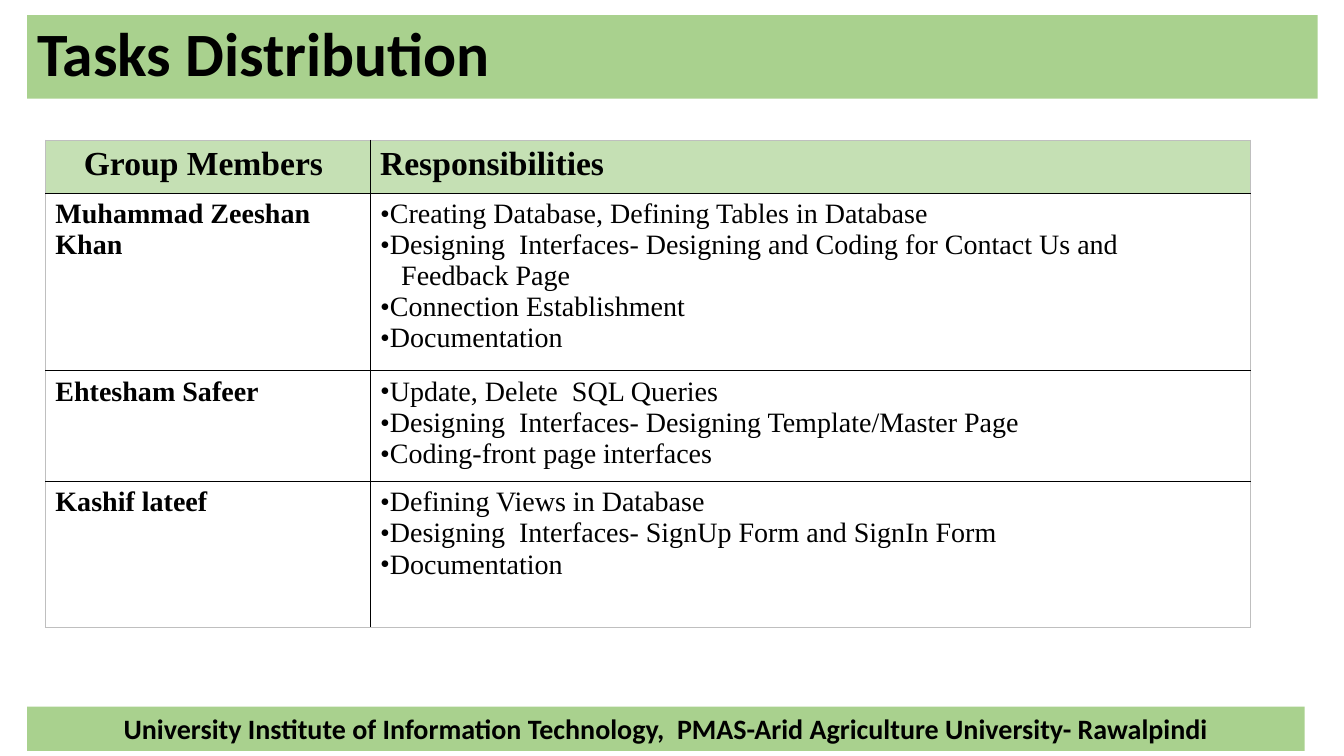
"""Build the task distribution slide with a table of members and duties."""
from lxml import etree
from pptx import Presentation
from pptx import util as u
from pptx.dml.color import RGBColor
from pptx.enum import shapes, text
from pptx.oxml import ns

BLACK, WHITE, GREEN, PALE, GREY = "000000", "FFFFFF", "A9D18E", "C5E0B4", "BFBFBF"
SERIF = "Times New Roman"
INDENTED = "Feedback Page"


def paint(color_format, color):
    """Apply a hex colour to a fill or a font."""
    if hasattr(color_format, "solid"):
        color_format.solid()
        color_format.fore_color.rgb = RGBColor.from_string(color)
    else:
        color_format.color.rgb = RGBColor.from_string(color)


def write(para, words, name, size, bold):
    """Put styled black words in a paragraph."""
    para.add_run().text = words
    para.font.name, para.font.size, para.font.bold = name, u.Pt(size), bold
    paint(para.font, BLACK)


deck = Presentation()
deck.slide_width, deck.slide_height = u.Inches(13.33), u.Inches(7.5)
page = deck.slides.add_slide(deck.slide_layouts[6])

bands = [
    ("Tasks Distribution", 0.15, 12.8, 0.83, 44, text.PP_ALIGN.LEFT, 0.9),
    ("University Institute of Information Technology,  PMAS-Arid Agriculture University- Rawalpindi",
     7.01, 12.67, 0.44, 20, text.PP_ALIGN.CENTER, 1.0),
]
for words, top, width, height, size, align, spacing in bands:
    band = page.shapes.add_shape(shapes.MSO_SHAPE.RECTANGLE, u.Inches(0.27), u.Inches(top),
                                 u.Inches(width), u.Inches(height))
    band.shadow.inherit = False
    paint(band.fill, GREEN)
    band.line.fill.background()
    band.text_frame.word_wrap = True
    band.text_frame.vertical_anchor = text.MSO_ANCHOR.MIDDLE
    para = band.text_frame.paragraphs[0]
    para.alignment, para.line_spacing = align, spacing
    write(para, words, "Calibri", size, True)

rows = [
    ("Group Members ", ["Responsibilities"]),
    ("Muhammad Zeeshan Khan", [
        "Creating Database, Defining Tables in Database",
        "Designing  Interfaces- Designing and Coding for Contact Us and",
        INDENTED,
        "Connection Establishment",
        "Documentation"]),
    ("Ehtesham Safeer", [
        "Update, Delete  SQL Queries",
        "Designing  Interfaces- Designing Template/Master Page",
        "Coding-front page interfaces"]),
    ("Kashif lateef", [
        "Defining Views in Database",
        "Designing  Interfaces- SignUp Form and SignIn Form",
        "Documentation"]),
]
widths, heights = [3.22, 8.73], [0.53, 1.76, 1.1, 1.44]
table = page.shapes.add_table(len(rows), 2, u.Inches(0.45), u.Inches(1.39),
                              u.Inches(sum(widths)), u.Inches(sum(heights))).table
table.first_row = table.horz_banding = False
for column, width in zip(table.columns, widths):
    column.width = u.Inches(width)

for row, (member, duties) in enumerate(rows):
    table.rows[row].height = u.Inches(heights[row])
    header = row == 0
    for col, lines in enumerate([[member], duties]):
        cell = table.cell(row, col)
        paint(cell.fill, PALE if header else WHITE)
        for index, words in enumerate(lines):
            para = cell.text_frame.paragraphs[0] if index == 0 else cell.text_frame.add_paragraph()
            para.alignment = text.PP_ALIGN.CENTER if header and col == 0 else text.PP_ALIGN.LEFT
            write(para, words, SERIF, 24 if header else 20, header or col == 0)
            if col == 1 and not header:
                props = para._p.get_or_add_pPr()
                props.set("marL", str(u.Inches(0.21 if words == INDENTED else 0)))
                props.set("indent", "0")
                if words != INDENTED:
                    props.insert(0, etree.Element(ns.qn("a:buFont"), typeface=SERIF))
                    props.insert(1, etree.Element(ns.qn("a:buChar"), char="•"))

        edges = {"L": col == 0, "R": col == 1, "T": header, "B": row == len(rows) - 1}
        for place, (side, outer) in enumerate(edges.items()):
            border = etree.Element(ns.qn(f"a:ln{side}"), w=str(u.Pt(0.5 if outer else 0.75)))
            fill = etree.SubElement(border, ns.qn("a:solidFill"))
            etree.SubElement(fill, ns.qn("a:srgbClr"), val=GREY if outer else BLACK)
            cell._tc.get_or_add_tcPr().insert(place, border)

deck.save("out.pptx")
